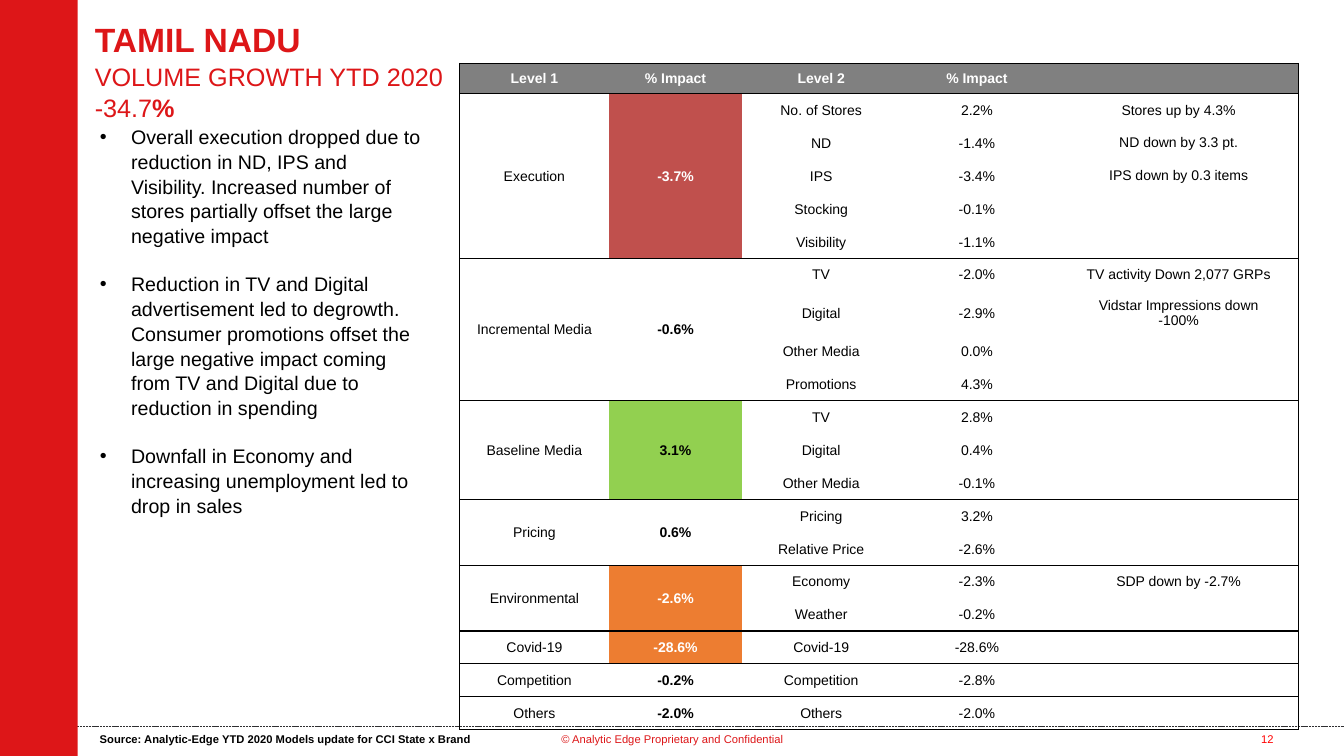
from lxml.etree import SubElement
from pptx import Presentation
from pptx.dml.color import RGBColor
from pptx.enum.dml import MSO_LINE
from pptx.enum.shapes import MSO_CONNECTOR, MSO_SHAPE
from pptx.enum.text import MSO_ANCHOR, MSO_AUTO_SIZE, PP_ALIGN
from pptx.oxml.ns import qn
from pptx.util import Inches, Pt

RED, BLACK, WHITE, GREY = "DD1618", "000000", "FFFFFF", "808080"
BRICK, GREEN, ORANGE = "C0504D", "92D050", "ED7D31"

BULLETS = [
    "Overall execution dropped due to reduction in ND, IPS and Visibility. "
    "Increased number of stores partially offset the large negative impact",
    "Reduction in TV and Digital advertisement led to degrowth. Consumer promotions offset "
    "the large negative impact coming from TV and Digital due to reduction in spending",
    "Downfall in Economy and increasing unemployment led to drop in sales",
]

HEADERS = ["Level 1", "% Impact", "Level 2", "% Impact", ""]
# Level 1, its impact, fill and text colour of the impact, then (level 2, impact, remark)
GROUPS = [
    ("Execution", "-3.7%", BRICK, WHITE, [
        ("No. of Stores", "2.2%", "Stores up by 4.3%"),
        ("ND", "-1.4%", "ND down by 3.3 pt."),
        ("IPS", "-3.4%", "IPS down by 0.3 items"),
        ("Stocking", "-0.1%", ""),
        ("Visibility", "-1.1%", "")]),
    ("Incremental Media", "-0.6%", None, BLACK, [
        ("TV", "-2.0%", "TV activity Down 2,077 GRPs"),
        ("Digital", "-2.9%", "Vidstar Impressions down\n-100%"),
        ("Other Media", "0.0%", ""),
        ("Promotions", "4.3%", "")]),
    ("Baseline Media", "3.1%", GREEN, BLACK, [
        ("TV", "2.8%", ""),
        ("Digital", "0.4%", ""),
        ("Other Media", "-0.1%", "")]),
    ("Pricing", "0.6%", None, BLACK, [
        ("Pricing", "3.2%", ""),
        ("Relative Price", "-2.6%", "")]),
    ("Environmental", "-2.6%", ORANGE, WHITE, [
        ("Economy", "-2.3%", "SDP down by -2.7%"),
        ("Weather", "-0.2%", "")]),
    ("Covid-19", "-28.6%", ORANGE, WHITE, [("Covid-19", "-28.6%", "")]),
    ("Competition", "-0.2%", None, BLACK, [("Competition", "-2.8%", "")]),
    ("Others", "-2.0%", None, BLACK, [("Others", "-2.0%", "")]),
]
COLUMN_WIDTHS = [1.48, 1.32, 1.57, 1.52, 2.43]
TABLE_HEIGHT, HEADER_HEIGHT, TALL_ROW_HEIGHT = 6.61, 0.3, 0.43


def color(value):
    return RGBColor.from_string(value)


def apply(target, values):
    for name, value in values.items():
        setattr(target, name, value)


class SlideBuilder:
    font_name = "Arial"

    def __init__(self, page):
        self.page = page

    def style(self, font, size, ink, bold=False):
        apply(font, {"name": self.font_name, "size": Pt(size), "bold": bold})
        font.color.rgb = color(ink)

    def add_span(self, para, text, size, ink, bold=False):
        span = para.add_run()
        span.text = text
        self.style(span.font, size, ink, bold)

    def place(self, shape, left, top, width, height):
        apply(shape, {"left": Inches(left), "top": Inches(top),
                      "width": Inches(width), "height": Inches(height)})

    def bar(self, left, top, width, height, fill):
        box = self.page.shapes.add_shape(
            MSO_SHAPE.RECTANGLE, Inches(left), Inches(top), Inches(width), Inches(height))
        box.shadow.inherit = False
        box.fill.solid()
        box.fill.fore_color.rgb = color(fill)
        box.line.fill.background()

    def rule(self, left, right, top, ink):
        line = self.page.shapes.add_connector(
            MSO_CONNECTOR.STRAIGHT, Inches(left), Inches(top), Inches(right), Inches(top))
        line.line.color.rgb = color(ink)
        apply(line.line, {"width": Pt(0.5), "dash_style": MSO_LINE.SQUARE_DOT})
        SubElement(line._element.spPr, qn("a:effectLst"))

    def title(self, lines, area):
        box = self.page.shapes.title
        self.place(box, *area)
        apply(box.text_frame, {"vertical_anchor": MSO_ANCHOR.TOP, "word_wrap": True,
                               "auto_size": MSO_AUTO_SIZE.NONE})
        para = box.text_frame.paragraphs[0]
        apply(para, {"alignment": PP_ALIGN.LEFT, "line_spacing": 1.05})
        for index, spans in enumerate(lines):
            if index:
                para.add_line_break()
            for text, size, bold in spans:
                self.add_span(para, text, size, RED, bold)

    def bullets(self, items, area):
        box = self.page.placeholders[1]
        self.place(box, *area)
        frame = box.text_frame
        apply(frame, {"word_wrap": True, "auto_size": MSO_AUTO_SIZE.SHAPE_TO_FIT_TEXT})
        for index, text in enumerate(items):
            para = frame.add_paragraph() if index else frame.paragraphs[0]
            apply(para, {"line_spacing": 1.05, "space_before": Pt(17 if index else 0)})
            properties = para._p.get_or_add_pPr()
            properties.set("marL", str(Inches(0.31)))
            properties.set("indent", str(-Inches(0.31)))
            SubElement(properties, qn("a:buChar"), char="•")
            self.add_span(para, text, 14, BLACK)

    def label(self, text, area, ink, align=PP_ALIGN.CENTER, bold=False, wrap=True):
        box = self.page.shapes.add_textbox(*map(Inches, area))
        box.text_frame.word_wrap = wrap
        para = box.text_frame.paragraphs[0]
        para.alignment = align
        self.add_span(para, text, 8, ink, bold)

    def borders(self, cell, sides):
        properties = cell._tc.get_or_add_tcPr()
        for side in "LRTB":
            line = SubElement(properties, qn(f"a:ln{side}"), w=str(Pt(1)))
            if side in sides:
                fill = SubElement(line, qn("a:solidFill"))
                SubElement(fill, qn("a:srgbClr"), val=BLACK)
            else:
                SubElement(line, qn("a:noFill"))

    def cell(self, cell, text, sides, fill=None, ink=BLACK, bold=False, roomy=False):
        self.borders(cell, sides)
        if fill:
            cell.fill.solid()
            cell.fill.fore_color.rgb = color(fill)
        else:
            cell.fill.background()
        margins = (0.1, 0.05, 0.05, 0.05) if roomy else (0.01, 0.01, 0.01, 0)
        names = ("margin_left", "margin_top", "margin_right", "margin_bottom")
        apply(cell, dict(zip(names, map(Inches, margins))))
        cell.vertical_anchor = MSO_ANCHOR.MIDDLE
        cell.text = text
        for para in cell.text_frame.paragraphs:
            para.alignment = PP_ALIGN.CENTER
            self.style(para.font, 10, ink, bold)
            for span in para.runs:
                self.style(span.font, 10, ink, bold)

    def impact_table(self, left, top):
        row_count = 1 + sum(len(group[-1]) for group in GROUPS)
        table = self.page.shapes.add_table(
            row_count, len(COLUMN_WIDTHS), Inches(left), Inches(top),
            Inches(sum(COLUMN_WIDTHS)), Inches(TABLE_HEIGHT)).table
        for column, width in zip(table.columns, COLUMN_WIDTHS):
            column.width = Inches(width)
        row_height = (TABLE_HEIGHT - HEADER_HEIGHT - TALL_ROW_HEIGHT) / (row_count - 2)
        for row in table.rows:
            row.height = Inches(row_height)
        table.rows[0].height = Inches(HEADER_HEIGHT)

        outer = {0: "L", len(COLUMN_WIDTHS) - 1: "R"}
        for column, text in enumerate(HEADERS):
            self.cell(table.cell(0, column), text, "TB" + outer.get(column, ""),
                      GREY, WHITE, True)
        first = 1
        for level, impact, fill, ink, details in GROUPS:
            last = first + len(details) - 1
            for row, detail in enumerate(details, first):
                heads = (level, impact) if row == first else ("", "")
                for column, text in enumerate(heads + detail):
                    merged = column < 2
                    sides = outer.get(column, "")
                    sides += "T" if row == first else ""
                    sides += "B" if row == last or merged and row == first else ""
                    looks = {"fill": fill, "ink": ink, "bold": True} if column == 1 else {}
                    self.cell(table.cell(row, column), text, sides,
                              roomy=column == 4 and bool(text), **looks)
                if "\n" in detail[-1]:
                    table.rows[row].height = Inches(TALL_ROW_HEIGHT)
            if last > first:
                for column in range(2):
                    table.cell(first, column).merge(table.cell(last, column))
            first = last + 1


def main():
    deck = Presentation()
    apply(deck, {"slide_width": Inches(13.33), "slide_height": Inches(7.5)})
    slide = SlideBuilder(deck.slides.add_slide(deck.slide_layouts[1]))

    # Frame
    slide.rule(0.71, 13.33, 7.21, "2E2E30")
    slide.bar(0, 0, 0.77, 7.5, RED)

    # Heading and findings
    slide.title([[("TAMIL NADU", 24, True)],
                 [("VOLUME GROWTH YTD 2020", 18, False)],
                 [("-34.7", 18, False), ("%", 18, True)]], (0.84, 0.12, 10.25, 0.86))
    slide.bullets(BULLETS, (0.89, 1.18, 3.43, 3.87))

    # Impact by driver
    slide.impact_table(4.56, 0.63)

    # Footer
    slide.label("© Analytic Edge Proprietary and Confidential", (5.27, 7.22, 2.8, 0.4), RED)
    slide.label("12", (12.26, 7.22, 0.62, 0.4), "FF0000")
    slide.label("Source: Analytic-Edge YTD 2020 Models update for CCI State x Brand",
                (0.89, 7.22, 3.89, 0.24), BLACK, PP_ALIGN.LEFT, bold=True, wrap=False)
    deck.save("out.pptx")


if __name__ == "__main__":
    main()
